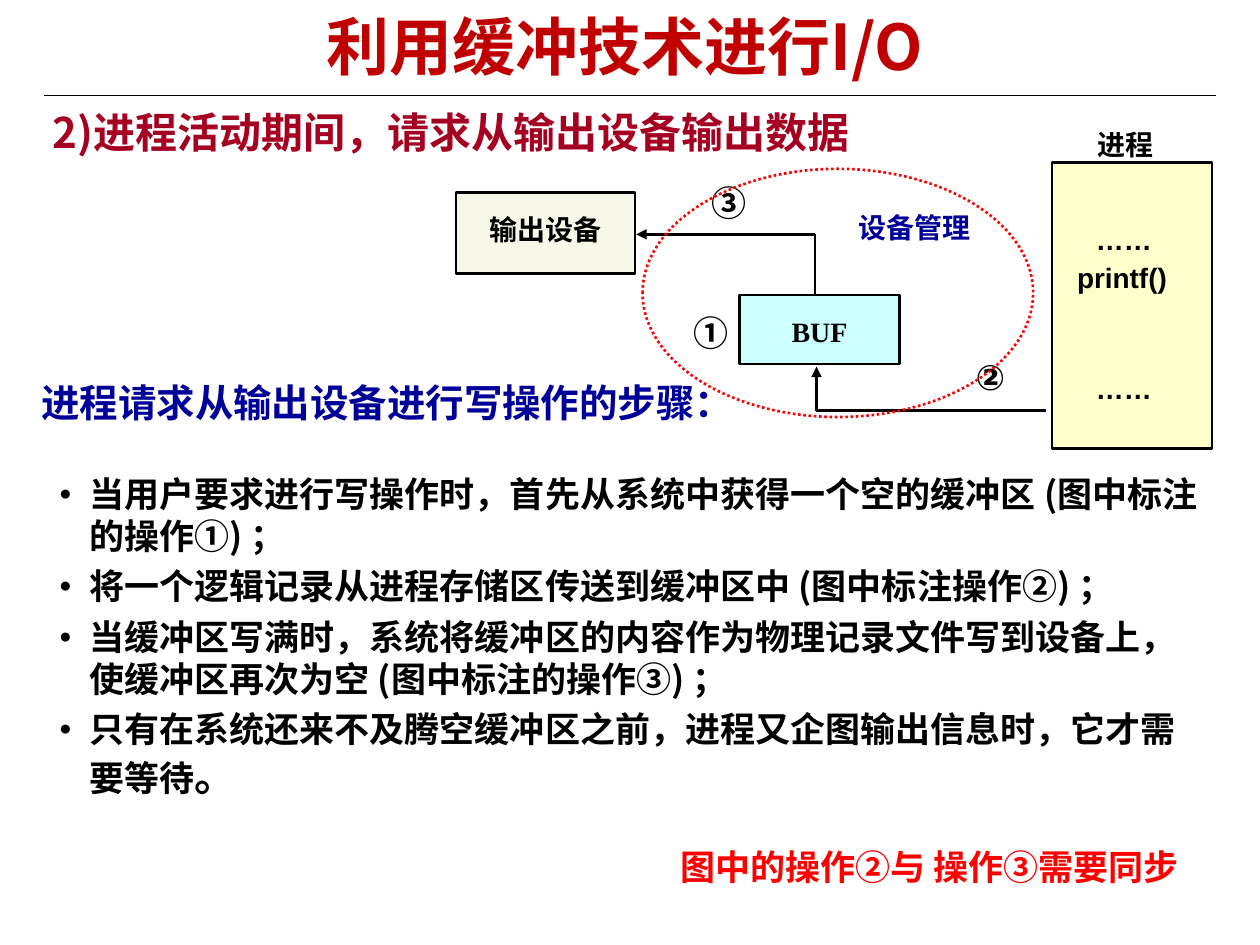
import dataclasses

import lxml.etree
import pptx
import pptx.dml.color
import pptx.enum.dml
import pptx.enum.shapes
import pptx.enum.text
import pptx.oxml.ns
import pptx.util

PX = 9144  # 100 px to the inch
SHAPE = pptx.enum.shapes.MSO_SHAPE
ALIGN = pptx.enum.text.PP_ALIGN
ANCHOR = pptx.enum.text.MSO_ANCHOR


@dataclasses.dataclass(frozen=True)
class Theme:
    black: str = "000000"
    title: str = "C00000"
    heading: str = "A50021"
    blue: str = "000099"
    red: str = "FF0000"
    device: str = "F8F8E8"
    buffer: str = "CCFFFF"
    process: str = "FFFFCC"
    cjk: str = "Noto Sans CJK SC"
    sans: str = "Arial"
    serif: str = "Times New Roman"
    title_size: int = 36
    heading_size: int = 24
    step_size: int = 22
    body_size: int = 20
    label_size: int = 16
    tight: float = 0.9
    loose: float = 1.4
    line: float = 1.5


THEME = Theme()


def rgb(code):
    return pptx.dml.color.RGBColor.from_string(code)


def add_node(parent, tag, **attributes):
    node = lxml.etree.SubElement(parent, pptx.oxml.ns.qn(tag))
    for key, value in attributes.items():
        node.set(key, value)
    return node


def add_span(para, text, size=THEME.label_size, color=THEME.black, font=THEME.cjk):
    span = para.add_run()
    span.text = text
    span.font.size = pptx.util.Pt(size)
    span.font.bold = True
    span.font.color.rgb = rgb(color)
    span.font.name = font
    east_asian = THEME.sans if font == THEME.sans else THEME.cjk
    add_node(span.font._element, "a:ea", typeface=east_asian)


def write(para, text, align=ALIGN.LEFT, spacing=1.0, before=0, **style):
    para.alignment = align
    para.line_spacing = spacing
    para.space_before = pptx.util.Pt(before)
    para.space_after = pptx.util.Pt(0)
    add_span(para, text, **style)


class SlideBuilder:
    def __init__(self, deck, theme):
        self.theme = theme
        self.slide = deck.slides.add_slide(deck.slide_layouts[5])

    def frame(self, box, anchor):
        frame = box.text_frame
        frame.word_wrap = True
        frame.auto_size = pptx.enum.text.MSO_AUTO_SIZE.NONE
        frame.vertical_anchor = anchor
        return frame

    def title(self, text, x, y, width, height):
        box = self.slide.shapes.title
        box.left, box.top, box.width, box.height = (n * PX for n in (x, y, width, height))
        write(self.frame(box, ANCHOR.TOP).paragraphs[0], text, align=ALIGN.CENTER,
              spacing=self.theme.tight, size=self.theme.title_size, color=self.theme.title)

    def text(self, text, x, y, width, height, anchor=ANCHOR.TOP, **style):
        box = self.slide.shapes.add_textbox(x * PX, y * PX, width * PX, height * PX)
        para = self.frame(box, anchor).paragraphs[0]
        write(para, text, **style)
        return para

    def numbered(self, text, number, x, y, width, height, **style):
        para = self.text(text, x, y, width, height, **style)
        properties = para._p.get_or_add_pPr()
        color = add_node(properties, "a:buClr")
        add_node(color, "a:srgbClr", val=style["color"])
        add_node(properties, "a:buAutoNum", type="arabicParenR", startAt=str(number))

    def bullets(self, items, x, y, width, height, **style):
        box = self.slide.shapes.add_textbox(x * PX, y * PX, width * PX, height * PX)
        frame = self.frame(box, ANCHOR.TOP)
        for index, item in enumerate(items):
            para = frame.add_paragraph() if index else frame.paragraphs[0]
            write(para, item, before=4.8, **style)
            properties = para._p.get_or_add_pPr()
            properties.set("marL", str(24 * PX))
            properties.set("indent", str(-24 * PX))
            color = add_node(properties, "a:buClr")
            add_node(color, "a:srgbClr", val=self.theme.black)
            add_node(properties, "a:buSzPct", val="60000")
            add_node(properties, "a:buFont", typeface=self.theme.sans)
            add_node(properties, "a:buChar", char="●")
        return para

    def shape(self, kind, x, y, width, height, fill=None, line=THEME.black, text="", **style):
        shape = self.slide.shapes.add_shape(kind, x * PX, y * PX, width * PX, height * PX)
        shape.shadow.inherit = False
        if fill:
            shape.fill.solid()
            shape.fill.fore_color.rgb = rgb(fill)
        else:
            shape.fill.background()
        shape.line.color.rgb = rgb(line)
        shape.line.width = pptx.util.Pt(self.theme.line)
        if text:
            write(self.frame(shape, ANCHOR.TOP).paragraphs[0], text, align=ALIGN.CENTER,
                  spacing=self.theme.loose, **style)
        return shape

    def label(self, text, x, y, width, height, **style):
        self.text(text, x, y, width, height, anchor=ANCHOR.MIDDLE,
                  spacing=self.theme.loose, **style)

    def line(self, x1, y1, x2, y2, width=THEME.line, arrow=False):
        line = self.slide.shapes.add_connector(
            pptx.enum.shapes.MSO_CONNECTOR.STRAIGHT, x1 * PX, y1 * PX, x2 * PX, y2 * PX)
        line.line.color.rgb = rgb(self.theme.black)
        line.line.width = pptx.util.Pt(width)
        if arrow:
            add_node(line.line._get_or_add_ln(), "a:headEnd", type="triangle")
        add_node(line._element.spPr, "a:effectLst")


def main():
    deck = pptx.Presentation()
    deck.slide_width, deck.slide_height = 1000 * PX, 750 * PX
    page = SlideBuilder(deck, THEME)

    # Title and headings
    page.line(35, 76, 965, 76, width=0.75)
    page.title("利用缓冲技术进行I/O", 37, 8, 918, 64)
    page.numbered("进程活动期间，请求从输出设备输出数据", 2, 32, 80, 910, 50,
                  size=THEME.heading_size, color=THEME.heading)
    page.text("进程请求从输出设备进行写操作的步骤：", 23, 296, 571, 47,
              size=THEME.step_size, color=THEME.blue)

    # Step marks in the diagram
    for mark, x, y, font in (("①", 534, 242, THEME.cjk),
                             ("②", 756, 277, THEME.sans),
                             ("③", 549, 139, THEME.cjk)):
        page.text(mark, x, y, 60, 44, align=ALIGN.CENTER, size=THEME.body_size, font=font)

    # Device, buffer and process
    page.shape(SHAPE.RECTANGLE, 362, 153, 142, 64, THEME.device, text="输出设备")
    page.shape(SHAPE.RECTANGLE, 587, 234, 127, 55, THEME.buffer, text="BUF", font=THEME.serif)
    page.shape(SHAPE.RECTANGLE, 835, 129, 127, 227, THEME.process)
    page.label("进程", 830, 94, 127, 30, align=ALIGN.CENTER, font=THEME.serif)
    for code, x, y, width, height in (("……", 860, 168, 67, 34),
                                      ("printf()", 845, 198, 113, 34),
                                      ("……", 860, 281, 67, 44)):
        page.label(code, x, y, width, height, font=THEME.sans)

    # Data flow: process to buffer, buffer to device
    page.line(505, 186, 647, 186, arrow=True)
    page.line(647, 186, 647, 234)
    page.line(648, 291, 648, 326, arrow=True)
    page.line(648, 326, 830, 326)

    # Device management zone
    zone = page.shape(SHAPE.OVAL, 510, 134, 310, 197, line=THEME.red)
    zone.line.dash_style = pptx.enum.dml.MSO_LINE.ROUND_DOT
    page.label("设备管理", 667, 158, 118, 34, align=ALIGN.CENTER, color=THEME.blue)

    # Steps and conclusion
    last = page.bullets((
        "当用户要求进行写操作时，首先从系统中获得一个空的缓冲区 (图中标注的操作①) ；",
        "将一个逻辑记录从进程存储区传送到缓冲区中 (图中标注操作②) ；",
        "当缓冲区写满时，系统将缓冲区的内容作为物理记录文件写到设备上，使缓冲区再次为空 (图中标注的操作③) ；",
        "只有在系统还来不及腾空缓冲区之前，进程又企图输出信息时，它才需要等待",
    ), 37, 370, 925, 270, size=THEME.body_size)
    add_span(last, "。", size=THEME.heading_size)
    page.text("图中的操作②与 操作③需要同步", 530, 670, 448, 51, spacing=THEME.tight,
              size=THEME.body_size, color=THEME.red)

    deck.save("out.pptx")


if __name__ == "__main__":
    main()
